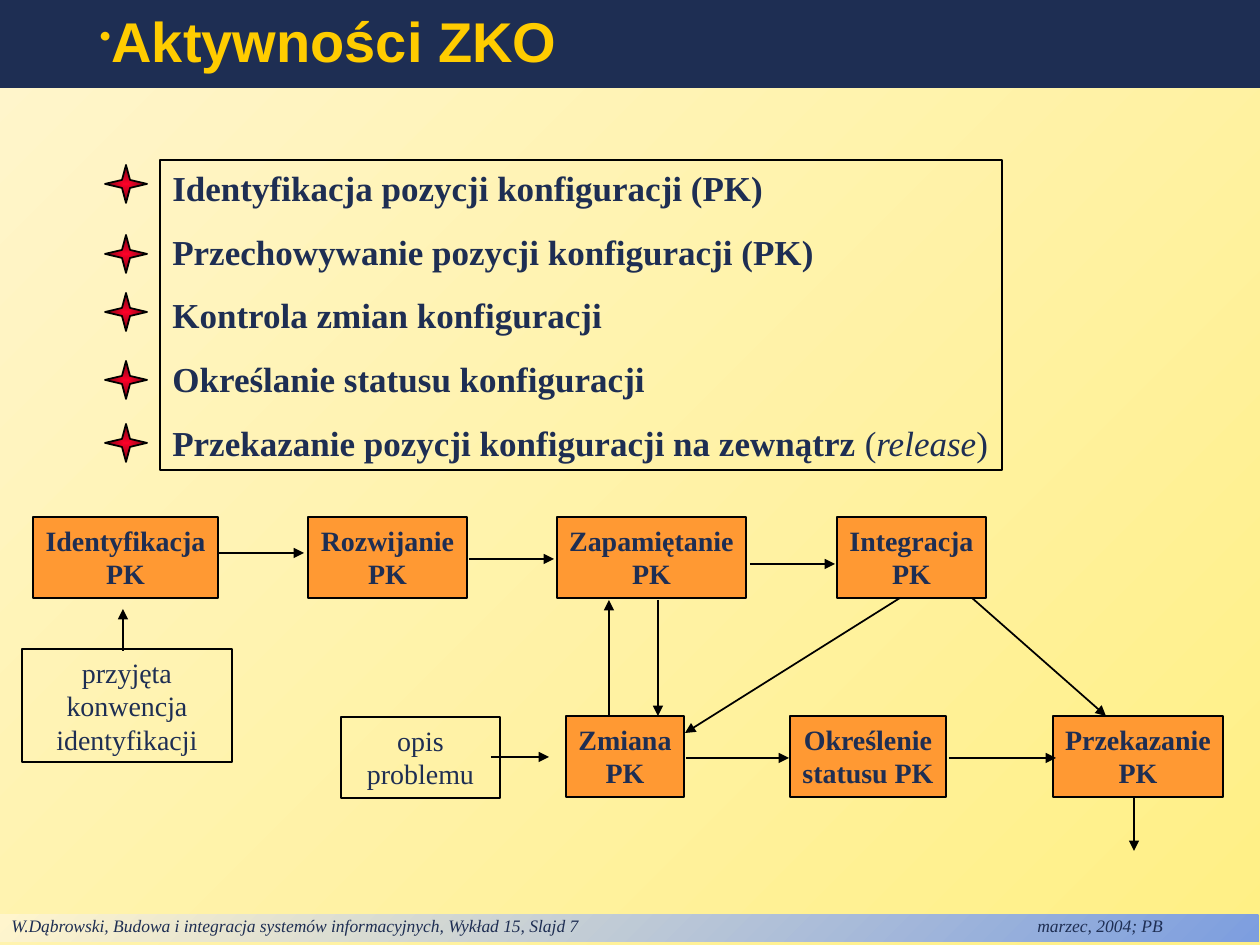
from dataclasses import dataclass

from lxml import etree
from pptx import Presentation
from pptx.dml.color import RGBColor
from pptx.enum.shapes import MSO_CONNECTOR, MSO_SHAPE
from pptx.enum.text import MSO_ANCHOR, MSO_AUTO_SIZE, PP_ALIGN
from pptx.oxml.ns import qn
from pptx.util import Emu, Pt

RECTANGLE = MSO_SHAPE.RECTANGLE
STRAIGHT = MSO_CONNECTOR.STRAIGHT
LEFT, CENTER = PP_ALIGN.LEFT, PP_ALIGN.CENTER
TOP, MIDDLE = MSO_ANCHOR.TOP, MSO_ANCHOR.MIDDLE
NO_FIT, GROW = MSO_AUTO_SIZE.NONE, MSO_AUTO_SIZE.SHAPE_TO_FIT_TEXT


@dataclass(frozen=True)
class Theme:
    navy: str = "1E2E53"
    gold: str = "FFCC00"
    orange: str = "FF9933"
    black: str = "000000"
    page: tuple = ("FFF085", "FFF5CD")
    footer: tuple = ("7D9EDF", "FFF5CD")
    star: tuple = ("FC0128", "740012")
    heading_font: str = "Arial"
    body_font: str = "Times New Roman"
    title_size: int = 32
    list_size: int = 20
    node_size: int = 16
    footer_size: int = 10


def px(value):
    """Slide pixels (126 to the inch) as EMU."""
    return Emu(round(value * 914400 / 126))


def add_xml(parent, tag, **attributes):
    return etree.SubElement(parent, qn(tag), {key: str(value) for key, value in attributes.items()})


class SlideBuilder:
    def __init__(self, deck, theme):
        self.theme = theme
        self.page = deck.slides.add_slide(deck.slide_layouts[5])
        self.shapes = self.page.shapes

    def gradient(self, fill, colors):
        fill.gradient()
        fill.gradient_angle = 135
        for stop, color, position in zip(fill.gradient_stops, colors, (0, 1)):
            stop.color.rgb = RGBColor.from_string(color)
            stop.position = position

    def outline(self, line):
        line.color.rgb = RGBColor.from_string(self.theme.black)
        line.width = Pt(1)

    def format_span(self, span, size, color, font, bold=False, italic=False):
        span.font.size = Pt(size)
        span.font.color.rgb = RGBColor.from_string(color)
        span.font.name = font
        span.font.bold = bold
        span.font.italic = italic

    def title(self, text, height):
        theme = self.theme
        title = self.shapes.title
        title.left, title.top, title.width, title.height = px(0), px(0), px(1260), px(height)
        title.fill.solid()
        title.fill.fore_color.rgb = RGBColor.from_string(theme.navy)
        frame = title.text_frame
        frame.text = text
        frame.auto_size = NO_FIT
        frame.vertical_anchor = MIDDLE
        para = frame.paragraphs[0]
        para.alignment = LEFT
        para.line_spacing = 0.9
        properties = para._p.get_or_add_pPr()
        properties.set("marL", str(px(37)))
        properties.set("indent", str(px(50)))
        add_xml(add_xml(properties, "a:buClr"), "a:srgbClr", val=theme.gold)
        add_xml(properties, "a:buSzPct", val=60000)
        add_xml(properties, "a:buChar", char="•")
        self.format_span(para.runs[0], theme.title_size, theme.gold, theme.heading_font, bold=True)

    def box(self, text, left, top, width, height, size, color=None, bold=False,
            italic=False, align=CENTER, wrap=False):
        box = self.shapes.add_shape(RECTANGLE, px(left), px(top), px(width), px(height))
        box.shadow.inherit = False
        if color:
            box.fill.solid()
            box.fill.fore_color.rgb = RGBColor.from_string(color)
        else:
            box.fill.background()
        self.outline(box.line)
        frame = box.text_frame
        frame.text = text
        frame.word_wrap = wrap
        frame.auto_size = GROW
        frame.vertical_anchor = TOP
        if align == CENTER:
            # Slim side margins keep each word on one line
            frame.margin_left = frame.margin_right = px(8)
        for para in frame.paragraphs:
            para.alignment = align
            for span in para.runs:
                self.format_span(span, size, self.theme.navy, self.theme.body_font, bold, italic)
        return box

    def footer(self, text, left, top, width, height, tab):
        bar = self.box(text, left, top, width, height, self.theme.footer_size,
                       italic=True, align=LEFT, wrap=True)
        self.gradient(bar.fill, self.theme.footer)
        bar.line.fill.background()
        frame = bar.text_frame
        frame.margin_top, frame.margin_bottom = px(0), px(5)
        tabs = add_xml(frame.paragraphs[0]._p.get_or_add_pPr(), "a:tabLst")
        add_xml(tabs, "a:tab", pos=px(tab), algn="l")

    def star(self, left, top):
        points = [(0, 19), (17, 15), (21, 0), (25, 15), (42, 19), (25, 23), (21, 38), (17, 23)]
        corners = [(px(left + x), px(top + y)) for x, y in points]
        builder = self.shapes.build_freeform(*corners[0])
        builder.add_line_segments(corners[1:], close=True)
        star = builder.convert_to_shape()
        star.shadow.inherit = False
        self.outline(star.line)
        self.gradient(star.fill, self.theme.star)
        # Let the gradient run outwards from the centre
        fill = star._element.spPr.find(qn("a:gradFill"))
        fill.remove(fill.find(qn("a:lin")))
        focus = add_xml(fill, "a:path", path="rect")
        add_xml(focus, "a:fillToRect", l=50000, t=50000, r=50000, b=50000)

    def arrow(self, *ends):
        arrow = self.shapes.add_connector(STRAIGHT, *map(px, ends))
        self.outline(arrow.line)
        add_xml(arrow.line._get_or_add_ln(), "a:tailEnd", type="triangle")
        add_xml(arrow._element.spPr, "a:effectLst")


def main():
    theme = Theme()
    deck = Presentation()
    deck.slide_width, deck.slide_height = px(1260), px(945)
    slide = SlideBuilder(deck, theme)

    # Background, footer and title
    slide.gradient(slide.page.background.fill, theme.page)
    slide.footer("W.Dąbrowski, Budowa i integracja systemów informacyjnych, Wykład 15, Slajd 7"
                 "\tmarzec, 2004; PB", -1, 915, 1260, 27, tab=1026)
    slide.title("Aktywności ZKO", 88)

    # Activity list with star markers
    activities = ["Identyfikacja pozycji konfiguracji (PK)",
                  "Przechowywanie pozycji konfiguracji (PK)",
                  "Kontrola zmian konfiguracji",
                  "Określanie statusu konfiguracji",
                  "Przekazanie pozycji konfiguracji na zewnątrz "]
    listing = slide.box("\n".join(activities), 160, 160, 842, 310, theme.list_size,
                        bold=True, align=LEFT)
    paragraphs = listing.text_frame.paragraphs
    for para in paragraphs:
        para.space_after = Pt(12.5)
    for text, italic in (("(", False), ("release", True), (")", False)):
        span = paragraphs[-1].add_run()
        span.text = text
        slide.format_span(span, theme.list_size, theme.navy, theme.body_font, italic=italic)
    for top in (165, 235, 293, 361, 424):
        slide.star(105, top)

    # Process steps in two rows
    rows = {517: [("Identyfikacja\nPK", 33, 185), ("Rozwijanie\nPK", 308, 159),
                  ("Zapamiętanie\nPK", 557, 189), ("Integracja\nPK", 837, 149)],
            716: [("Zmiana\nPK", 566, 118), ("Określenie\nstatusu PK", 790, 156),
                  ("Przekazanie\nPK", 1053, 170)]}
    for top, steps in rows.items():
        for text, left, width in steps:
            slide.box(text, left, top, width, 81, theme.node_size, theme.orange, bold=True)

    # Inputs to the process
    slide.box("przyjęta konwencja identyfikacji", 22, 649, 210, 113, theme.node_size, wrap=True)
    slide.box("opis problemu", 341, 717, 159, 81, theme.node_size, wrap=True)

    # Flow arrows
    for ends in [(219, 553, 304, 553), (469, 559, 554, 559), (750, 564, 835, 564),
                 (686, 758, 789, 758), (949, 758, 1056, 758), (491, 757, 549, 757),
                 (609, 716, 609, 600), (658, 600, 658, 716), (123, 651, 123, 609),
                 (900, 598, 685, 733), (972, 598, 1106, 716), (1134, 798, 1134, 851)]:
        slide.arrow(*ends)

    deck.save("out.pptx")


if __name__ == "__main__":
    main()
